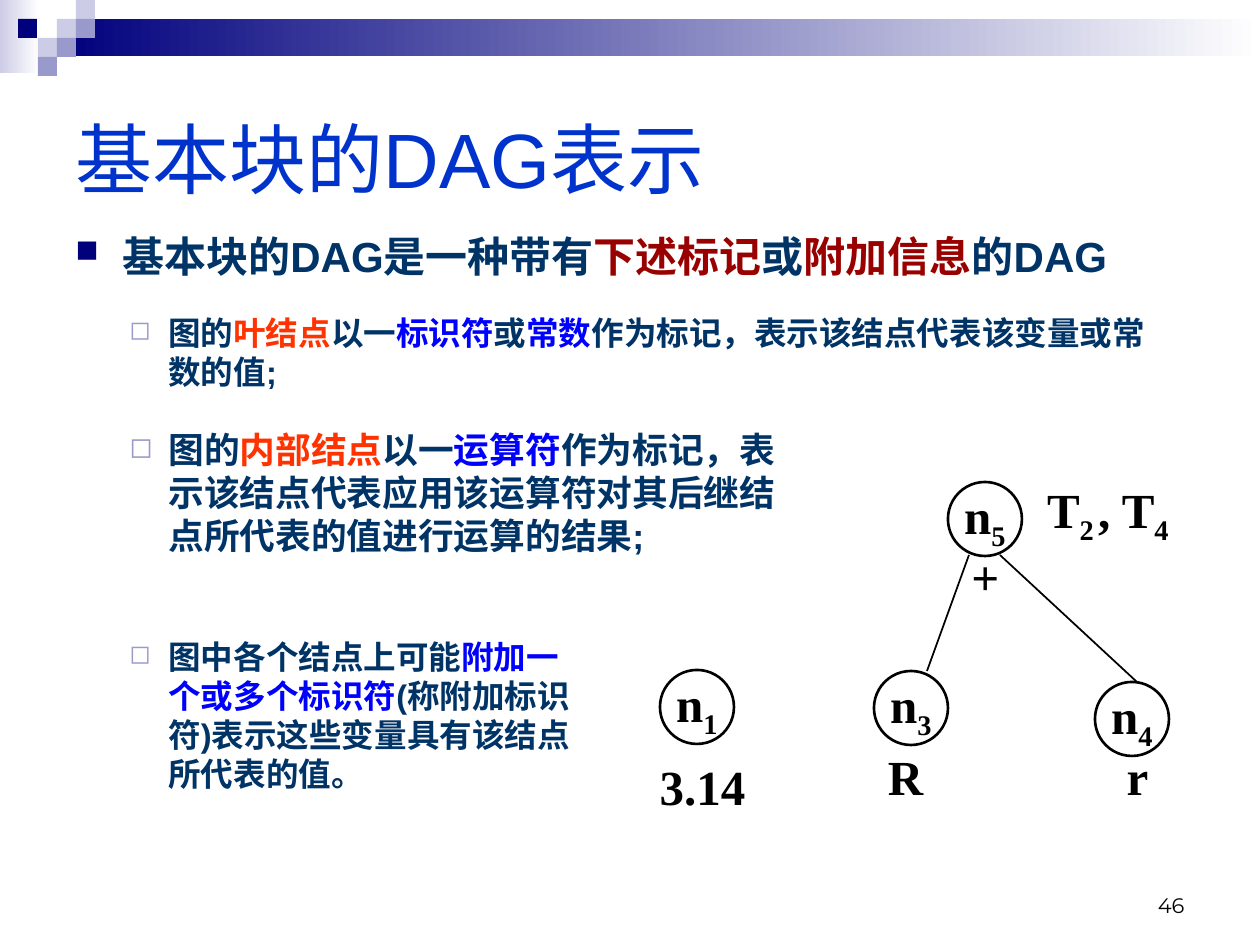
from lxml.etree import SubElement
from pptx import Presentation
from pptx.dml.color import RGBColor
from pptx.enum.shapes import MSO_CONNECTOR, MSO_SHAPE
from pptx.enum.text import MSO_ANCHOR, MSO_AUTO_SIZE, PP_ALIGN
from pptx.oxml.ns import qn
from pptx.util import Emu, Pt

COLORS = {
    "navy": "00007D", "lilac": "9999CC", "pale": "CCCCE6", "white": "FFFFFF",
    "title": "0033CC", "text": "003366", "dark red": "990000",
    "red": "FF3300", "blue": "0000FF", "black": "000000",
}
TITLE = {"name": "Arial", "size": Pt(44), "bold": False}
NODE = {"name": "Times New Roman", "size": Pt(28), "bold": True}
NUMBER = {"name": "Montserrat", "size": Pt(12), "bold": False}


def px(length):
    return Emu(round(length * 914400 / 126))


def color(name):
    return RGBColor.from_string(COLORS[name])


class SlideBuilder:
    def __init__(self, slide):
        self.slide = slide

    def add_runs(self, paragraph, runs, style):
        """Add runs given as (text, colour name, is subscript)."""
        for text, color_name, subscript in runs:
            run = paragraph.add_run()
            run.text = text
            for key, value in style.items():
                setattr(run.font, key, value)
            run.font.color.rgb = color(color_name)
            if subscript:
                run.font._element.set("baseline", "-25000")

    def frame(self, shape, runs, style, **settings):
        text_frame = shape.text_frame
        text_frame.auto_size = MSO_AUTO_SIZE.NONE
        alignment = settings.pop("alignment", PP_ALIGN.LEFT)
        for key, value in settings.items():
            setattr(text_frame, key, value)
        paragraph = text_frame.paragraphs[0]
        paragraph.alignment = alignment
        self.add_runs(paragraph, runs, style)
        return paragraph

    def title(self, box, text):
        shape = self.slide.shapes.title
        shape.left, shape.top, shape.width, shape.height = map(px, box)
        self.frame(shape, [(text, "title", False)], TITLE,
                   vertical_anchor=MSO_ANCHOR.MIDDLE)

    def rectangle(self, box, *fills):
        shape = self.slide.shapes.add_shape(MSO_SHAPE.RECTANGLE, *map(px, box))
        shape.shadow.inherit = False
        shape.line.fill.background()
        if len(fills) == 1:
            shape.fill.solid()
            shape.fill.fore_color.rgb = color(fills[0])
        else:
            shape.fill.gradient()
            shape.fill.gradient_angle = 0
            for stop, name in zip(shape.fill.gradient_stops, fills):
                stop.color.rgb = color(name)

    def text(self, box, runs, style, **settings):
        shape = self.slide.shapes.add_textbox(*map(px, box))
        return self.frame(shape, runs, style, **settings)

    def bullet(self, box, size, runs, mark, mark_color, percent, margin, hanging):
        style = {"name": "Arial", "size": Pt(size), "bold": True}
        runs = [(text, name, False) for text, name in runs]
        paragraph = self.text(box, runs, style, word_wrap=True)
        paragraph.space_before = Pt(6)
        properties = paragraph._p.get_or_add_pPr()
        properties.set("marL", str(px(margin)))
        properties.set("indent", str(-px(hanging)))
        bullet_color = SubElement(properties, qn("a:buClr"))
        SubElement(bullet_color, qn("a:srgbClr"), val=COLORS[mark_color])
        SubElement(properties, qn("a:buSzPct"), val=str(percent * 1000))
        SubElement(properties, qn("a:buChar"), char=mark)

    def label(self, box, text, subscript=""):
        runs = [(text, "black", False)]
        if subscript:
            runs.append((subscript, "black", True))
        self.text(box, runs, NODE, word_wrap=False,
                  vertical_anchor=MSO_ANCHOR.MIDDLE, alignment=PP_ALIGN.CENTER)

    def node(self, left, top, subscript):
        shape = self.slide.shapes.add_shape(
            MSO_SHAPE.OVAL, px(left), px(top), px(74), px(74))
        shape.shadow.inherit = False
        shape.fill.background()
        shape.line.color.rgb = color("black")
        shape.line.width = Pt(1.5)
        self.frame(shape, [("n", "black", False), (subscript, "black", True)], NODE,
                   word_wrap=False, vertical_anchor=MSO_ANCHOR.MIDDLE,
                   alignment=PP_ALIGN.CENTER)

    def edge(self, *ends):
        line = self.slide.shapes.add_connector(MSO_CONNECTOR.STRAIGHT, *map(px, ends))
        line.line.color.rgb = color("black")
        line.line.width = Pt(1)
        SubElement(line._element.spPr, qn("a:effectLst"))


def main():
    presentation = Presentation()
    presentation.slide_width, presentation.slide_height = px(1260), px(945)
    builder = SlideBuilder(presentation.slides.add_slide(presentation.slide_layouts[5]))

    # Header band and its checkered squares
    builder.rectangle((0, 0, 39, 73), "pale", "white")
    builder.rectangle((57, 19, 1203, 37), "navy", "white")
    for left, top, name in [(57, 19, "pale"), (76, 0, "pale"), (76, 19, "lilac"),
                            (38, 38, "pale"), (18, 19, "navy"), (57, 38, "lilac"),
                            (38, 57, "lilac")]:
        builder.rectangle((left, top, 19, 19), name)

    # Title and main statement
    builder.title((63, 63, 1134, 189), "基本块的DAG表示")
    builder.bullet((63, 224, 1134, 69), 24, [
        ("基本块的DAG是一种带有", "text"), ("下述标记", "dark red"), ("或", "text"),
        ("附加信息", "dark red"), ("的DAG", "text"),
    ], "■", "navy", 75, 47, 47)

    # Details
    details = [
        ((54, 307, 1111, 93), 18.6, [
            ("图的", "text"), ("叶结点", "red"), ("以一", "text"), ("标识符", "blue"),
            ("或", "text"), ("常数", "blue"),
            ("作为标记，表示该结点代表该变量或常数的值;", "text")]),
        ((54, 422, 745, 142), 20.4, [
            ("图的", "text"), ("内部结点", "red"), ("以一", "text"), ("运算符", "blue"),
            ("作为标记，表示该结点代表应用该运算符对其后继结点所代表的值进行运算的结果;",
             "text")]),
        ((54, 631, 546, 173), 18.6, [
            ("图中各个结点上可能", "text"), ("附加一个或多个标识符", "blue"),
            ("(称附加标识符)表示这些变量具有该结点所代表的值。", "text")]),
    ]
    for box, size, runs in details:
        builder.bullet(box, size, runs, "◻", "lilac", 80, 102, 39)

    # Graph nodes and edges
    for left, top, subscript in [(660, 670, "1"), (874, 671, "3"),
                                 (1095, 682, "4"), (948, 482, "5")]:
        builder.node(left, top, subscript)
    builder.edge(969, 555, 927, 671)
    builder.edge(1000, 555, 1137, 682)

    # Node labels
    for left, top, width, *words in [
        (650, 765, 105, "3.14"), (853, 755, 105, "R"), (1085, 755, 105, "r"),
        (959, 555, 53, "+"), (1034, 492, 73, "T", "2"), (1097, 492, 73, ", T", "4"),
    ]:
        builder.label((left, top, width, 42), *words)

    # Slide number
    builder.text((903, 861, 294, 63), [("46", "black", False)], NUMBER, word_wrap=True,
                 vertical_anchor=MSO_ANCHOR.BOTTOM, alignment=PP_ALIGN.RIGHT)
    presentation.save("out.pptx")


if __name__ == "__main__":
    main()
